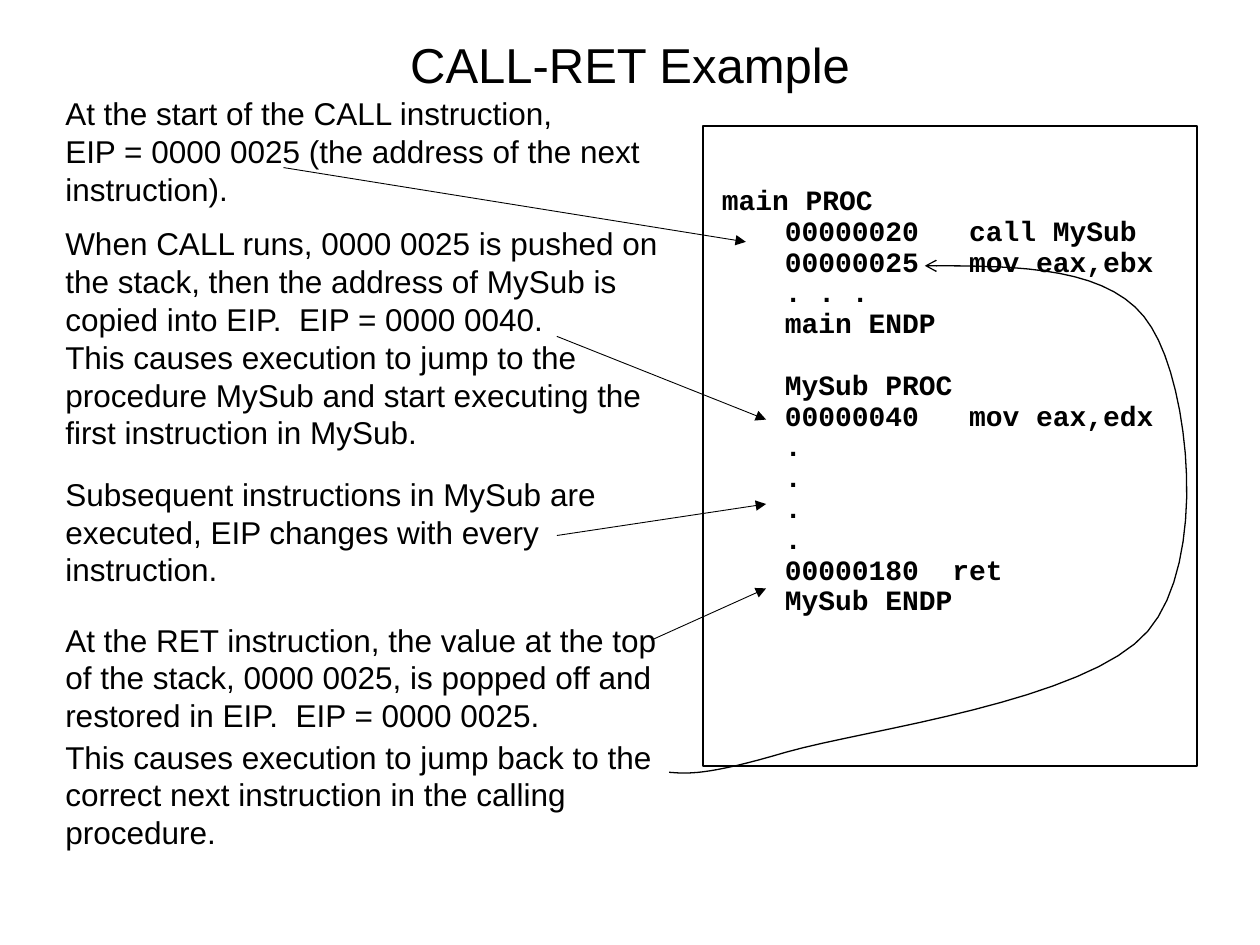
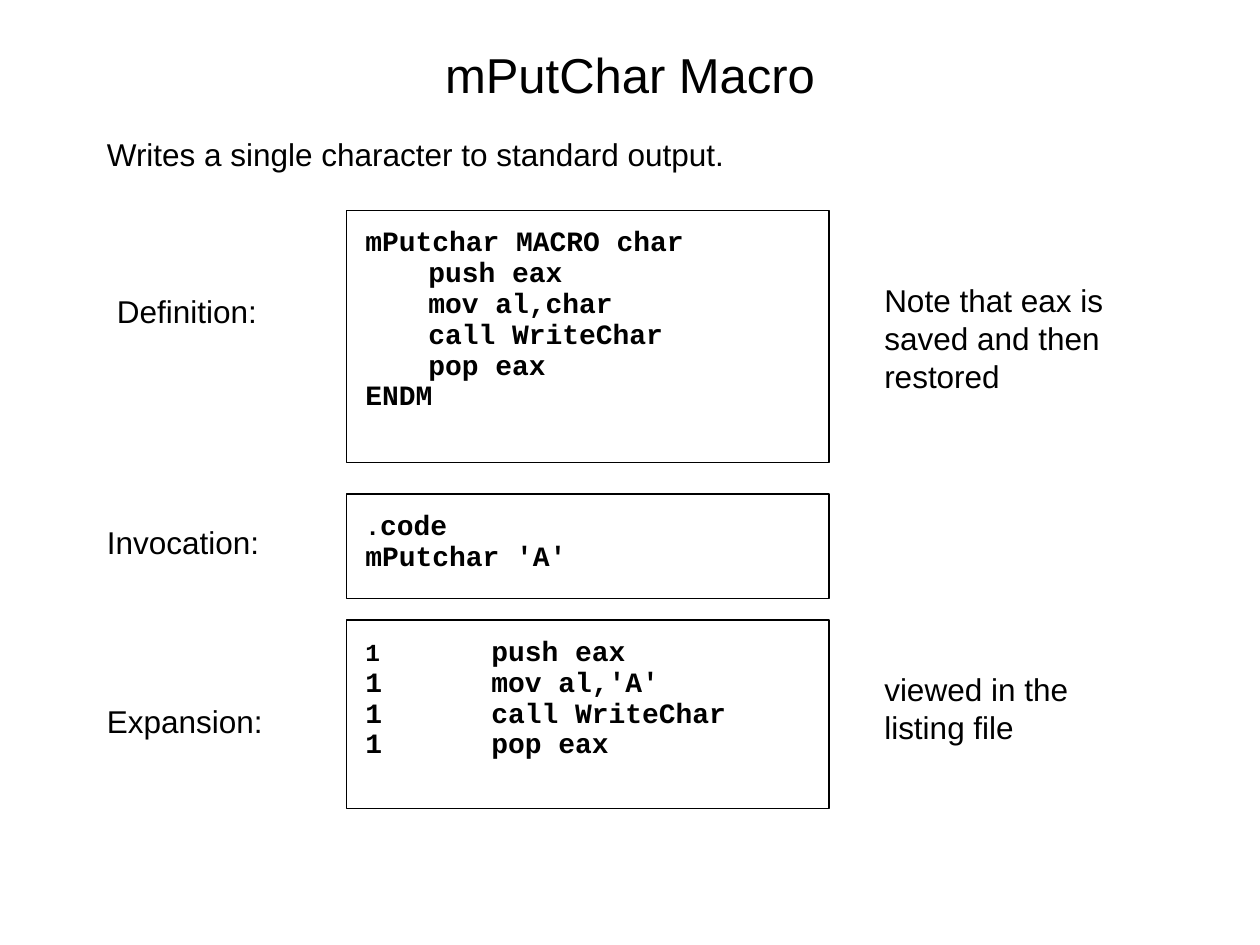
from lxml import etree
from pptx import Presentation
from pptx.dml.color import RGBColor
from pptx.enum.shapes import MSO_CONNECTOR, MSO_SHAPE
from pptx.enum.text import MSO_ANCHOR, MSO_AUTO_SIZE, PP_ALIGN
from pptx.oxml.ns import qn
from pptx.util import Inches, Pt

RECT, STRAIGHT = MSO_SHAPE.RECTANGLE, MSO_CONNECTOR.STRAIGHT
TOP, MIDDLE = MSO_ANCHOR.TOP, MSO_ANCHOR.MIDDLE
LEFT, CENTER = PP_ALIGN.LEFT, PP_ALIGN.CENTER
NO_FIT = MSO_AUTO_SIZE.NONE
TITLE_ONLY = 5

COLORS = {"ink": "000000", "paper": "FFFFFF"}
FORMATS = {
    "title": {"name": "Arial", "size": Pt(28), "bold": False},
    "prose": {"name": "Arial", "size": Pt(18), "bold": False},
    "code": {"name": "Courier New", "size": Pt(16), "bold": True},
}
PITCH = {"prose": Pt(21.6), "code": Pt(17.6)}


def color(name):
    return RGBColor.from_string(COLORS[name])


class Deck:
    """Holds the shared style and the slide being built."""

    def __init__(self):
        self.prs = Presentation()
        self.prs.slide_width, self.prs.slide_height = Inches(10), Inches(7.5)

    def new_slide(self, title, top):
        self.s = self.prs.slides.add_slide(self.prs.slide_layouts[TITLE_ONLY])
        self.s.background.fill.solid()
        self.s.background.fill.fore_color.rgb = color("paper")
        sp = self.s.shapes.title
        sp.left, sp.top = Inches(0.75), Inches(top)
        sp.width, sp.height = Inches(8.5), Inches(0.67)
        self.frame(sp.text_frame, 0.1, 0.05, MIDDLE)
        p = sp.text_frame.paragraphs[0]
        p.alignment = CENTER
        self.run(p, title, "title")

    def frame(self, tf, side, top, anchor=TOP):
        settings = {"word_wrap": True, "auto_size": NO_FIT, "vertical_anchor": anchor,
                    "margin_left": Inches(side), "margin_right": Inches(side),
                    "margin_top": Inches(top), "margin_bottom": Inches(top)}
        for key, value in settings.items():
            setattr(tf, key, value)

    def run(self, p, text, style, size=None):
        r = p.add_run()
        r.text = text
        for key, value in FORMATS[style].items():
            setattr(r.font, key, value)
        if size:
            r.font.size = Pt(size)
        r.font.color.rgb = color("ink")

    def paragraph(self, tf, first, style, before=0):
        p = tf.paragraphs[0] if first else tf.add_paragraph()
        p.alignment = LEFT
        p.line_spacing = PITCH[style]
        p.space_before = Pt(before)
        return p

    def prose(self, box, paragraphs, top=0.15):
        """Paragraphs are (space before, text); a newline is a line break."""
        sp = self.s.shapes.add_textbox(*map(Inches, box))
        tf = sp.text_frame
        self.frame(tf, 0.1, top)
        for i, (before, text) in enumerate(paragraphs):
            p = self.paragraph(tf, i == 0, "prose", before)
            for j, line in enumerate(text.split("\n")):
                if j:
                    p.add_line_break()
                self.run(p, line, "prose")

    def code(self, box, blocks, top=0.13, tab=0.5, lead=None):
        """Blocks of code lines, one line apart; lead is the size of the first character."""
        sp = self.s.shapes.add_shape(RECT, *map(Inches, box))
        sp.fill.background()
        self.outline(sp, 0.75)
        sp.shadow.inherit = False
        tf = sp.text_frame
        self.frame(tf, 0.15, top)
        for b, block in enumerate(blocks):
            for i, line in enumerate(block.split("\n")):
                first = b == i == 0
                p = self.paragraph(tf, first, "code", 17.6 if b and not i else 0)
                tabs = etree.SubElement(p._p.get_or_add_pPr(), qn("a:tabLst"))
                for stop in (tab, 4, 4.5):
                    etree.SubElement(tabs, qn("a:tab"), pos=str(Inches(stop)), algn="l")
                if first and lead:
                    self.run(p, line[0], "code", lead)
                    line = line[1:]
                self.run(p, line, "code")

    def outline(self, sp, width, head=None):
        sp.line.color.rgb = color("ink")
        sp.line.width = Pt(width)
        if head:
            etree.SubElement(sp.line._get_or_add_ln(), qn("a:tailEnd"), type=head)

    def arrow(self, start, end):
        sp = self.s.shapes.add_connector(STRAIGHT, *map(Inches, start + end))
        self.outline(sp, 0.5, "triangle")
        etree.SubElement(sp._element.spPr, qn("a:effectLst"))

    def curve(self, start, segments, steps=16):
        """Open curve through cubic Bezier segments, ending in an arrowhead."""
        points, a = [], start
        for b, c, d in segments:
            for k in range(1, steps + 1):
                t = k / steps
                u = 1 - t
                points.append(tuple(
                    Inches(u**3 * a[n] + 3*u*u*t * b[n] + 3*u*t*t * c[n] + t**3 * d[n])
                    for n in (0, 1)))
            a = d
        builder = self.s.shapes.build_freeform(*map(Inches, start))
        builder.add_line_segments(points, close=False)
        sp = builder.convert_to_shape()
        sp.fill.background()
        self.outline(sp, 0.75, "arrow")
        sp.shadow.inherit = False


def call_ret_slide(deck):
    deck.new_slide("CALL-RET Example", 0.17)

    # Program listing
    deck.code((5.58, 1, 3.92, 5.08), [
        "main PROC\n"
        "\t00000020   call MySub\n"
        "\t00000025   mov eax,ebx\n"
        "\t. . .\n"
        "\tmain ENDP",
        "\tMySub PROC\n"
        "\t00000040   mov eax,edx\n"
        "\t.\n\t.\n\t.\n\t.\n"
        "\t00000180  ret\n"
        "\tMySub ENDP",
    ], top=0.47)

    # Explanation of each step
    deck.prose((0.42, 0.75, 5, 6.27), [
        (0, "At the start of the CALL instruction,\n"
            "EIP = 0000 0025 (the address of the next instruction)."),
        (9.5, "When CALL runs, 0000 0025 is pushed on the stack, then the address "
              "of MySub is copied into EIP.  EIP = 0000 0040."),
        (0, "This causes execution to jump to the procedure MySub and start "
            "executing the first instruction in MySub."),
        (13.5, "Subsequent instructions in MySub are executed, EIP changes with "
               "every instruction."),
        (18.5, "At the RET instruction, the value at the top of the stack, "
               "0000 0025, is popped off and restored in EIP.  EIP = 0000 0025."),
        (2, "This causes execution to jump back to the correct next instruction "
            "in the calling procedure."),
    ], top=0)

    # Arrows from the steps to the code
    for start, end in [((2.25, 1.33), (5.92, 1.92)), ((4.42, 2.67), (6.08, 3.33)),
                       ((5.17, 5.08), (6.08, 4.67)), ((4.42, 4.25), (6.08, 4))]:
        deck.arrow(start, end)
    deck.curve((5.31, 6.13), [
        ((5.45, 6.14), (5.6, 6.16), (6.24, 5.97)),
        ((6.87, 5.79), (8.63, 5.57), (9.11, 5.01)),
        ((9.59, 4.45), (9.44, 3.08), (9.14, 2.6)),
        ((8.85, 2.11), (8.09, 2.11), (7.34, 2.11)),
    ])


def macro_slide(deck):
    deck.new_slide("mPutChar Macro", 0.25)
    deck.prose((0.75, 0.92, 8.42, 0.61),
               [(0, "Writes a single character to standard output.")])

    # Code boxes: top, height, options, lines
    for top, height, options, text in [
        (1.67, 2, {}, "mPutchar MACRO char\n\tpush eax\n\tmov al,char\n"
                      "\tcall WriteChar\n\tpop eax\nENDM"),
        (3.92, 0.83, {"lead": 14}, ".code\nmPutchar 'A'"),
        (4.92, 1.5, {"lead": 14, "tab": 1},
         "1\tpush eax\n1\tmov al,'A'\n1\tcall WriteChar\n1\tpop eax"),
    ]:
        deck.code((2.75, top, 3.83, height), [text], **options)

    # Row labels and side notes
    for box, text in [
        ((0.83, 2.17, 2.58, 0.6), "Definition:"),
        ((0.75, 4, 2.58, 0.6), "Invocation:"),
        ((0.75, 5.42, 2.58, 0.6), "Expansion:"),
        ((6.92, 2.08, 2, 1.2), "Note that eax is saved and then restored"),
        ((6.92, 5.17, 2, 0.9), "viewed in the listing file"),
    ]:
        deck.prose(box, [(0, text)])


def main():
    deck = Deck()
    call_ret_slide(deck)
    macro_slide(deck)
    deck.prs.save("out.pptx")


if __name__ == "__main__":
    main()
